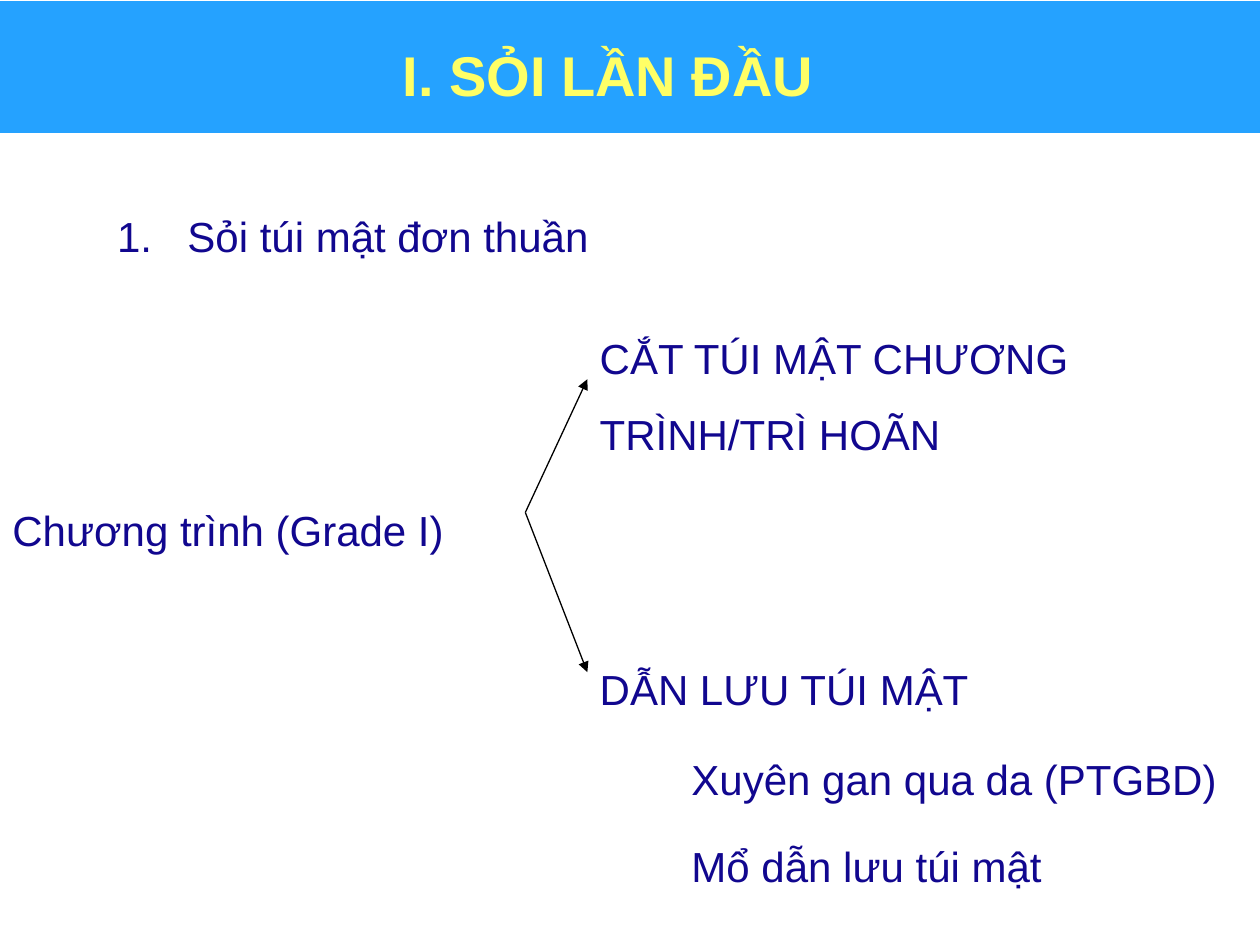
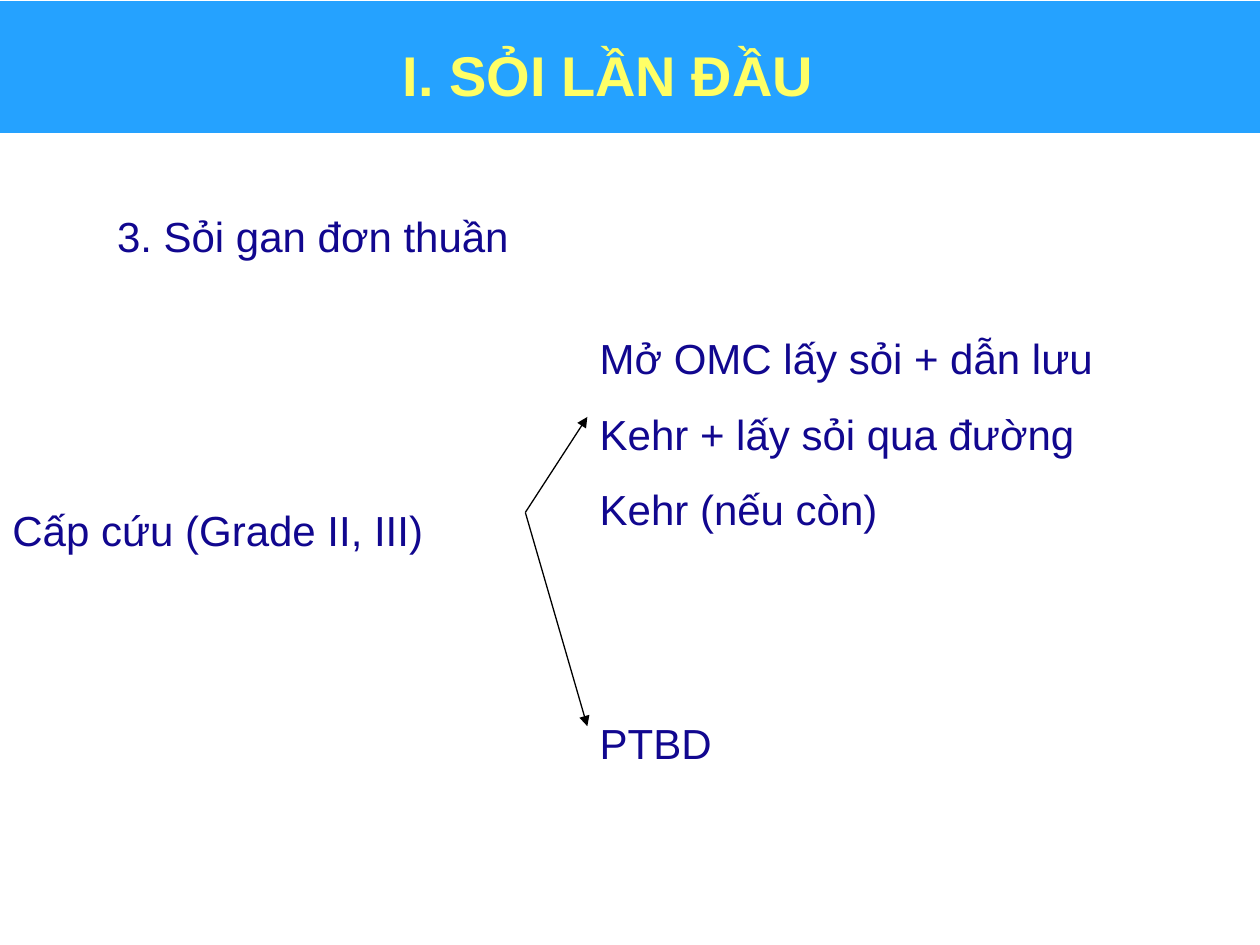
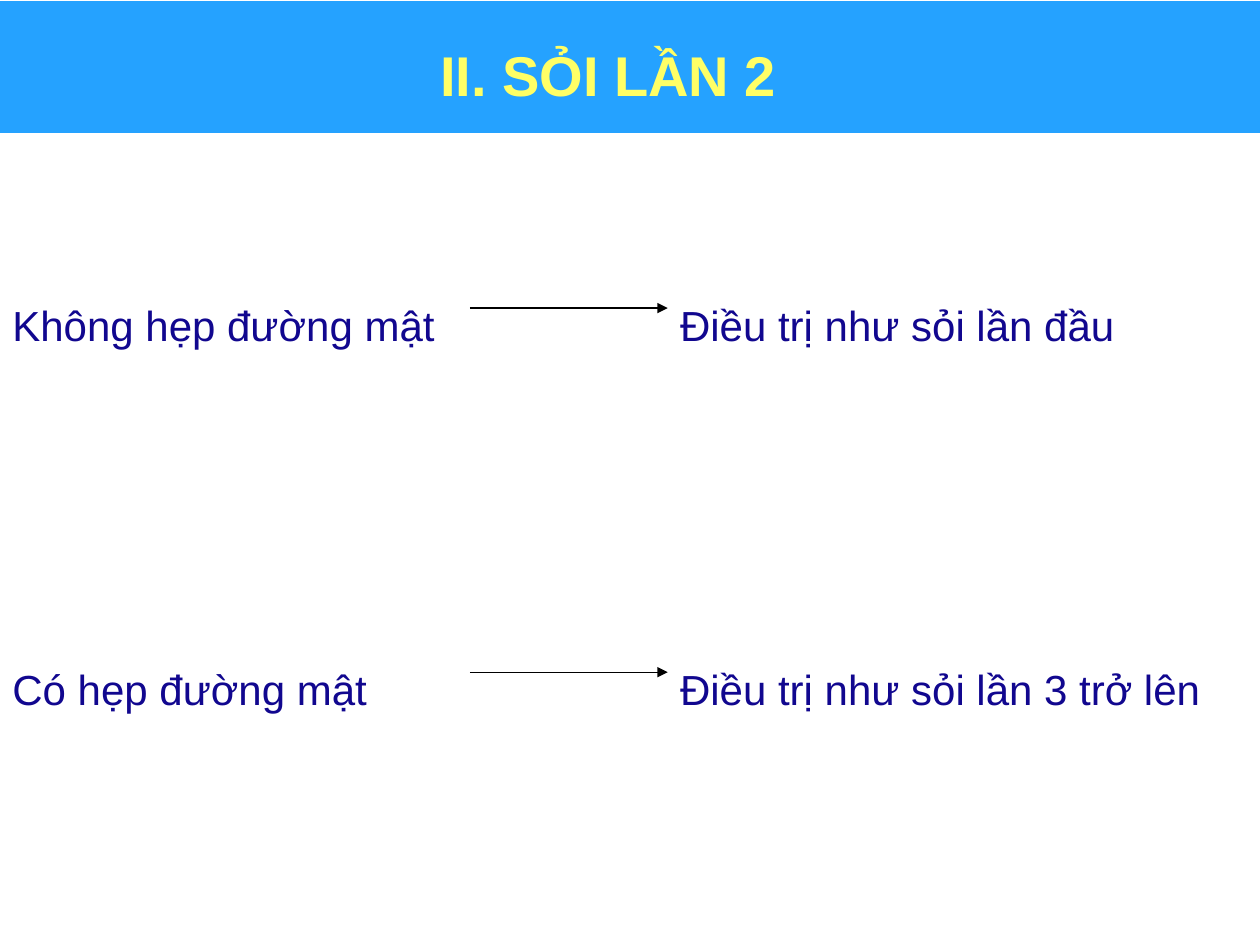
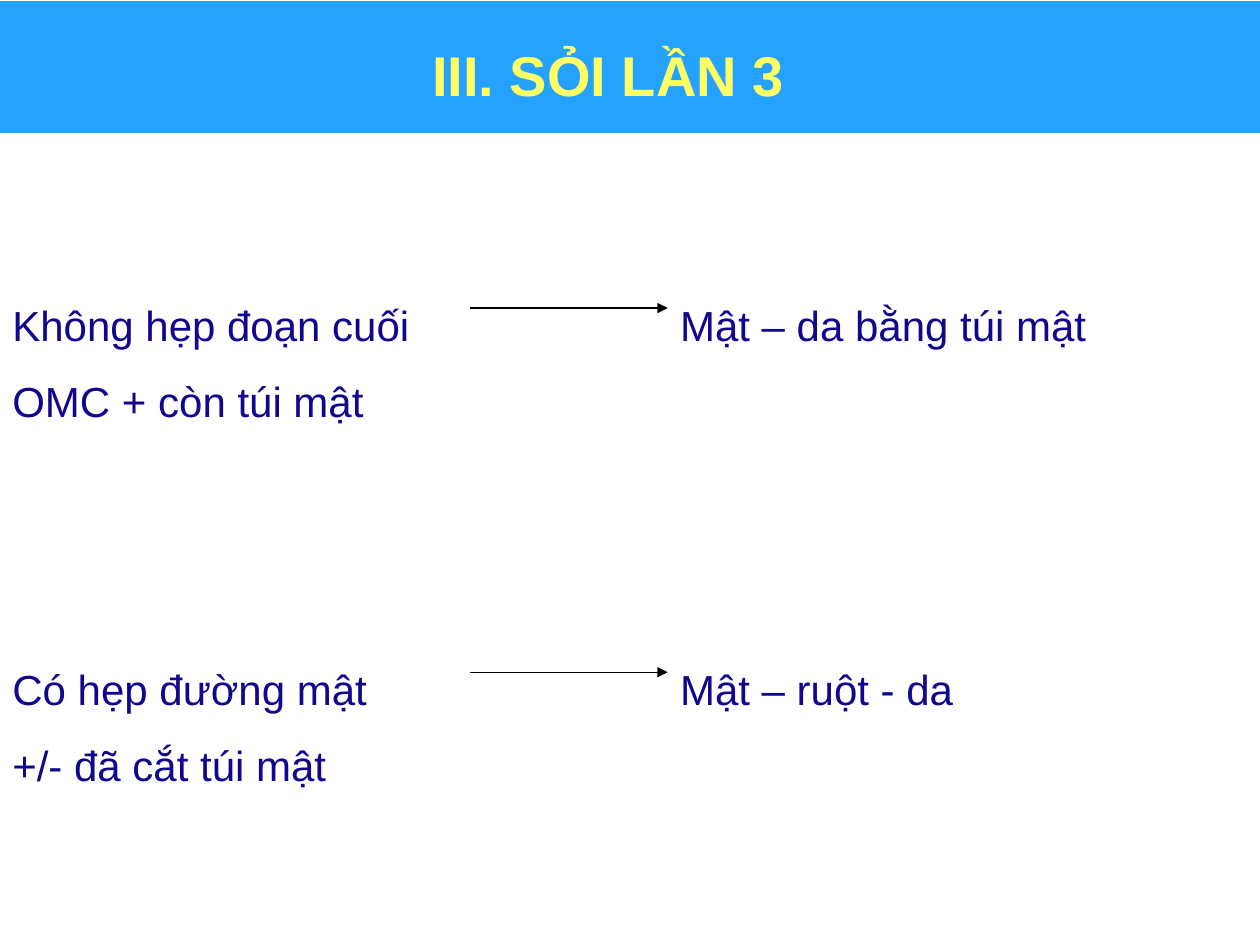
from dataclasses import dataclass

from lxml.etree import SubElement
from pptx import Presentation
from pptx.dml.color import RGBColor
from pptx.enum.shapes import MSO_CONNECTOR, MSO_SHAPE
from pptx.enum.text import MSO_ANCHOR, MSO_AUTO_SIZE, PP_ALIGN
from pptx.oxml.ns import qn
from pptx.util import Cm, Pt

COLORS = {
    "band": "25A2FF",
    "edge": "FFFFFF",
    "title": "FFFF66",
    "body": "11078F",
    "arrow": "000000",
}
FONT = "Arial"
LINE_WIDTH = Pt(0.75)
RIGHT_SIDE, LEFT_SIDE = 3, 1
ONE_LINE, TWO_LINES, THREE_LINES = 1.6, 3.15, 4.67
COLUMN = 10.59
BRANCH_LEFT, DETAIL_LEFT, OUTCOME_LEFT = 11.84, 13.69, 13.46
UPPER_ROW, LOWER_ROW = 5.41, 12.75
ARROW_START = 9.47
NUMBER_INDENT = 1.42


@dataclass(frozen=True)
class Block:
    text: str
    left: float
    top: float
    width: float = COLUMN
    height: float = ONE_LINE
    numbered: bool = False


@dataclass(frozen=True)
class Arrow:
    source: Block
    target: Block
    start: float | None = None


@dataclass(frozen=True)
class Page:
    title: str
    blocks: list[Block]
    arrows: list[Arrow]


def rgb(name: str) -> RGBColor:
    return RGBColor.from_string(COLORS[name])


def add_text(slide, text: str, *, left: float, top: float, width: float, height: float,
             size: int = 24, color: str = "body", bold: bool = False,
             align=PP_ALIGN.LEFT, anchor=MSO_ANCHOR.TOP, spacing: float = 1.5,
             grow: bool = True, numbered: bool = False):
    box = slide.shapes.add_textbox(Cm(left), Cm(top), Cm(width), Cm(height))
    frame = box.text_frame
    frame.word_wrap = True
    frame.auto_size = MSO_AUTO_SIZE.SHAPE_TO_FIT_TEXT if grow else MSO_AUTO_SIZE.NONE
    frame.vertical_anchor = anchor
    para = frame.paragraphs[0]
    para.alignment = align
    para.line_spacing = spacing
    if numbered:
        properties = para._p.get_or_add_pPr()
        properties.set("marL", str(Cm(NUMBER_INDENT)))
        properties.set("indent", str(-Cm(NUMBER_INDENT)))
        SubElement(properties, qn("a:buFontTx"))
        SubElement(properties, qn("a:buAutoNum"), type="arabicPeriod")
    span = para.add_run()
    span.text = text
    span.font.name = FONT
    span.font.size = Pt(size)
    span.font.bold = bold
    span.font.color.rgb = rgb(color)
    return box


def add_header(slide, title: str) -> None:
    band = slide.shapes.add_shape(MSO_SHAPE.RECTANGLE, Cm(-0.18), Cm(0), Cm(25.63), Cm(2.69))
    band.shadow.inherit = False
    band.fill.solid()
    band.fill.fore_color.rgb = rgb("band")
    band.line.color.rgb = rgb("edge")
    band.line.width = LINE_WIDTH
    add_text(slide, title, left=1.47, top=0.43, width=21.59, height=2.11, size=32,
             color="title", bold=True, align=PP_ALIGN.CENTER, anchor=MSO_ANCHOR.MIDDLE,
             spacing=1.0, grow=False)


def add_block(slide, block: Block):
    return add_text(slide, block.text, left=block.left, top=block.top, width=block.width,
                    height=block.height, numbered=block.numbered)


def add_arrow(slide, arrow: Arrow, source, target) -> None:
    middle = target.top + target.height // 2
    start = Cm(arrow.start or 0)
    line = slide.shapes.add_connector(MSO_CONNECTOR.STRAIGHT, start, middle, target.left, middle)
    if arrow.start is None:
        line.begin_connect(source, RIGHT_SIDE)
    line.end_connect(target, LEFT_SIDE)
    line.line.color.rgb = rgb("arrow")
    line.line.width = LINE_WIDTH
    SubElement(line.line._get_or_add_ln(), qn("a:tailEnd"), type="triangle")
    SubElement(line._element.spPr, qn("a:effectLst"))


def branch_page(title: str, heading: Block, grade: str, branches: list[Block],
                details: list[Block]) -> Page:
    origin = Block(grade, 0, 9.53)
    return Page(title, [heading, origin, *branches, *details],
                [Arrow(origin, branch) for branch in branches])


def pair_page(title: str, upper: tuple[str, str], lower: tuple[str, str],
              case_height: float) -> Page:
    upper_case = Block(upper[0], 0, UPPER_ROW, height=case_height)
    lower_case = Block(lower[0], 0, LOWER_ROW, width=8.18, height=case_height)
    upper_outcome = Block(upper[1], OUTCOME_LEFT, UPPER_ROW)
    lower_outcome = Block(lower[1], OUTCOME_LEFT, LOWER_ROW, width=12.07)
    return Page(title, [upper_case, upper_outcome, lower_case, lower_outcome],
                [Arrow(upper_case, upper_outcome, ARROW_START),
                 Arrow(lower_case, lower_outcome, ARROW_START)])


def heading(text: str, numbered: bool = False) -> Block:
    return Block(text, 2.11, 3.61, 22.23, TWO_LINES, numbered)


PAGES = [
    branch_page(
        "I. SỎI LẦN ĐẦU",
        heading("Sỏi túi mật đơn thuần", numbered=True),
        "Chương trình (Grade I)",
        [Block("CẮT TÚI MẬT CHƯƠNG TRÌNH/TRÌ HOÃN", BRANCH_LEFT, 6.07, height=TWO_LINES),
         Block("DẪN LƯU TÚI MẬT", BRANCH_LEFT, LOWER_ROW)],
        [Block("Xuyên gan qua da (PTGBD)", DETAIL_LEFT, 14.55, width=11.58),
         Block("Mổ dẫn lưu túi mật", DETAIL_LEFT, 16.31)],
    ),
    branch_page(
        "I. SỎI LẦN ĐẦU",
        heading("3. Sỏi gan đơn thuần"),
        "Cấp cứu (Grade II, III)",
        [Block("Mở OMC lấy sỏi + dẫn lưu Kehr + lấy sỏi qua đường Kehr (nếu còn)",
               BRANCH_LEFT, 6.07, height=THREE_LINES),
         Block("PTBD", BRANCH_LEFT, 13.84, width=11.58)],
        [],
    ),
    pair_page(
        "II. SỎI LẦN 2",
        ("Không hẹp đường mật", "Điều trị như sỏi lần đầu"),
        ("Có hẹp đường mật", "Điều trị như sỏi lần 3 trở lên"),
        ONE_LINE,
    ),
    pair_page(
        "III. SỎI LẦN 3",
        ("Không hẹp đoạn cuối OMC + còn túi mật", "Mật – da bằng túi mật"),
        ("Có hẹp đường mật +/- đã cắt túi mật", "Mật – ruột - da"),
        TWO_LINES,
    ),
]


def main() -> None:
    deck = Presentation()
    deck.slide_width, deck.slide_height = Cm(25.4), Cm(19.05)
    for page in PAGES:
        slide = deck.slides.add_slide(deck.slide_layouts[6])
        add_header(slide, page.title)
        boxes = {block: add_block(slide, block) for block in page.blocks}
        for arrow in page.arrows:
            add_arrow(slide, arrow, boxes[arrow.source], boxes[arrow.target])
    deck.save("out.pptx")


if __name__ == "__main__":
    main()
